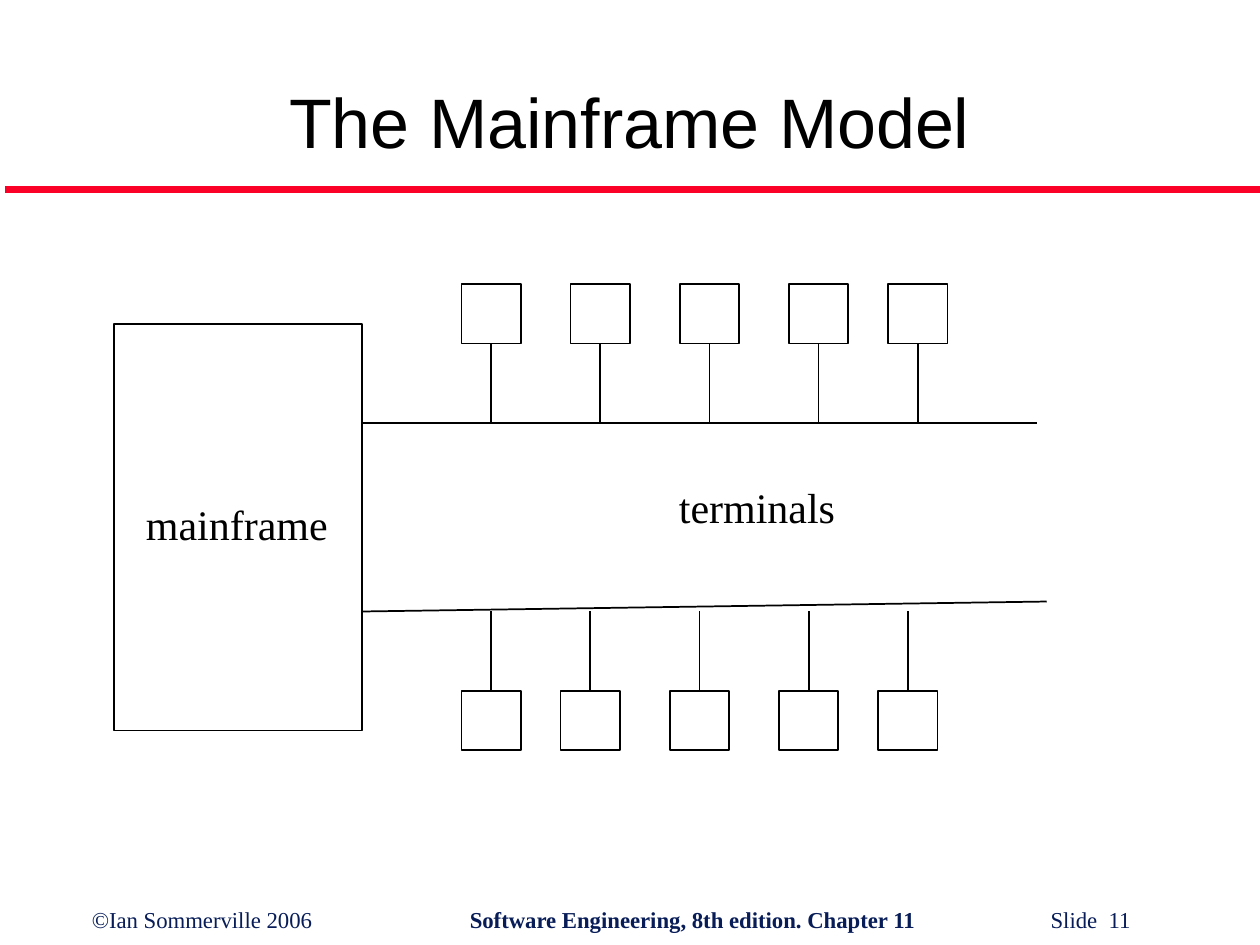
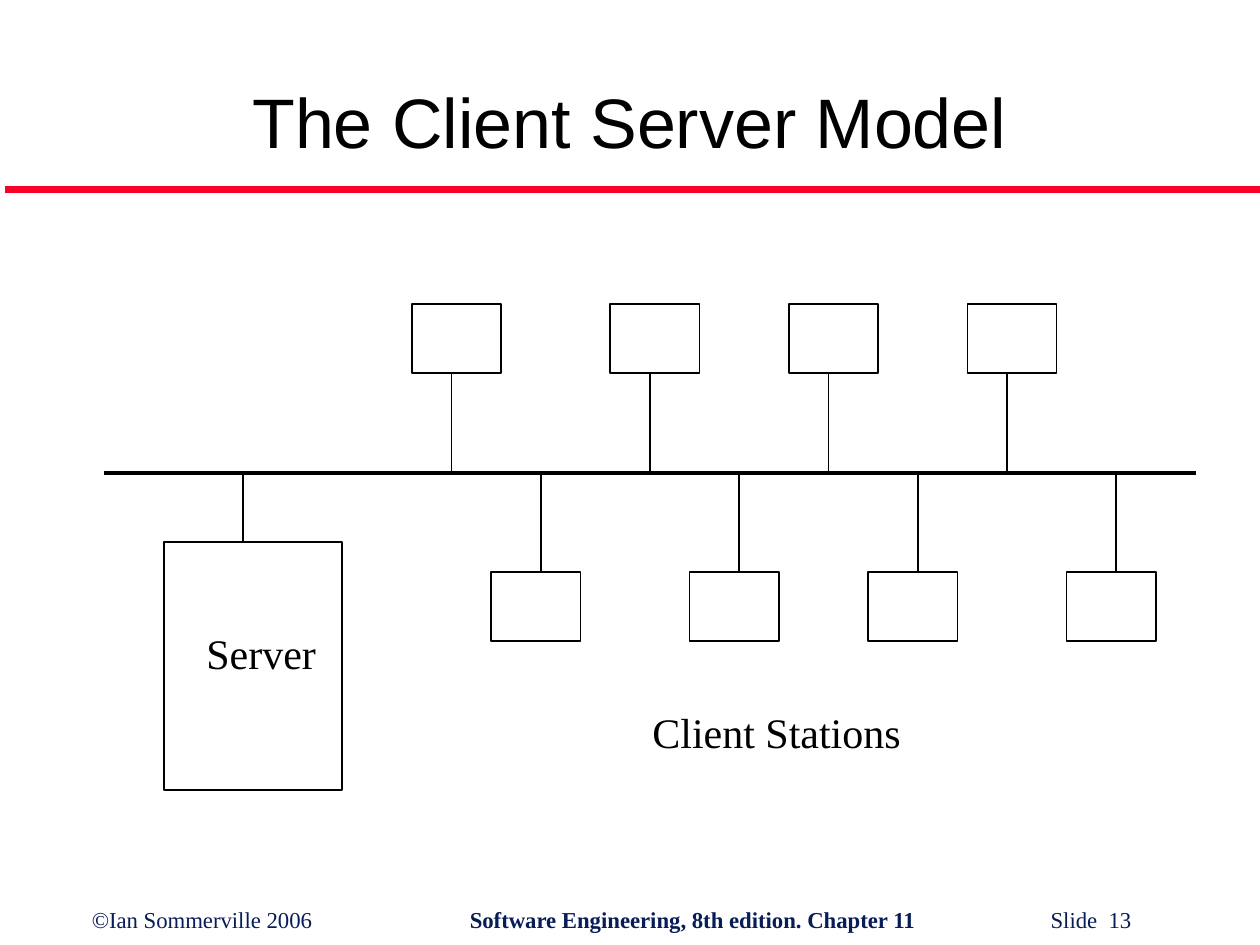
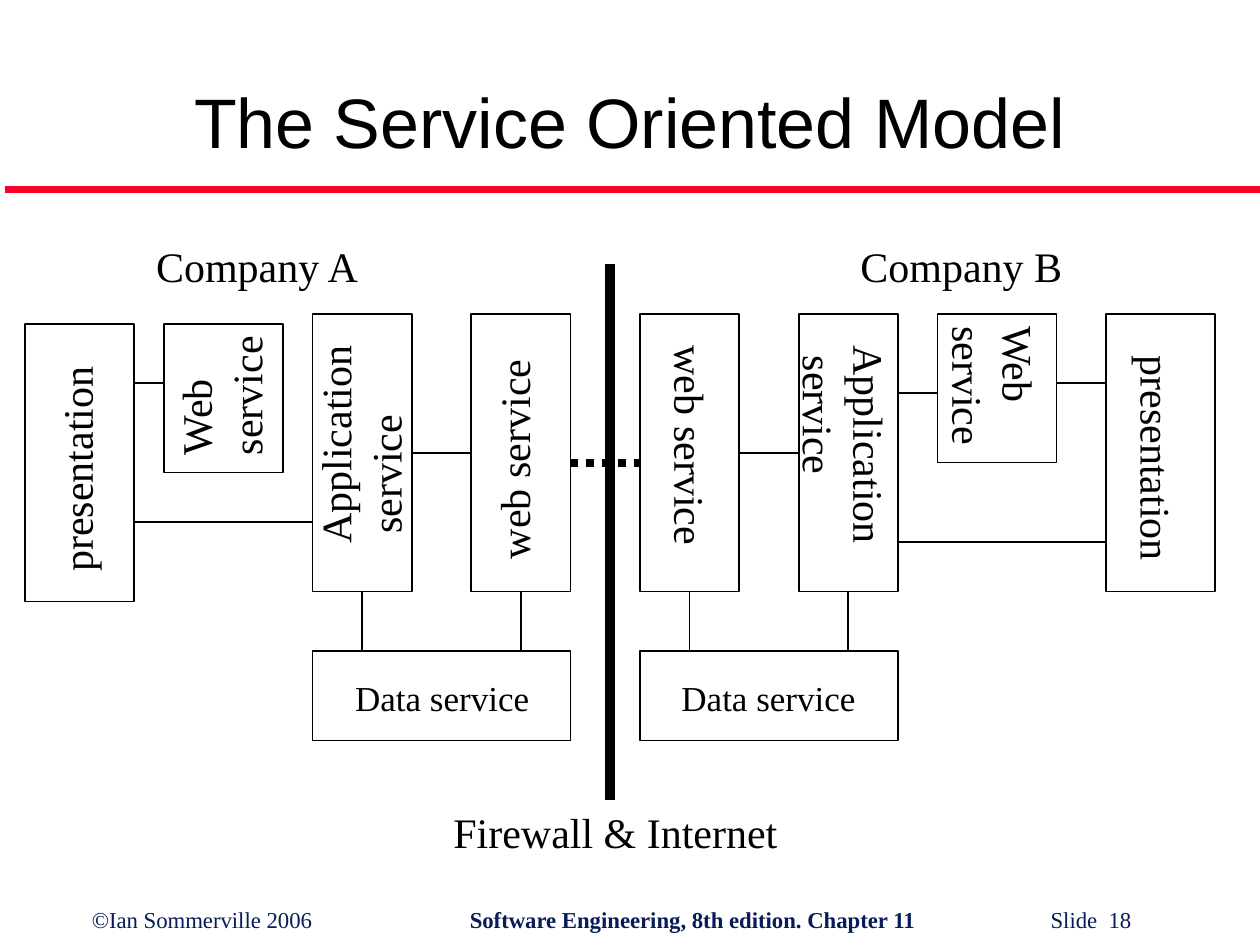
from lxml import etree
from pptx import Presentation
from pptx.dml.color import RGBColor
from pptx.enum.dml import MSO_LINE
from pptx.enum.shapes import MSO_CONNECTOR, MSO_SHAPE
from pptx.enum.text import MSO_ANCHOR, MSO_AUTO_SIZE as FIT, PP_ALIGN
from pptx.oxml.ns import qn
from pptx.util import Inches, Pt

COLORS = {"ink": "000000", "rule": "FC0128", "footer": "081D58"}
SERIF, SANS = "Times New Roman", "Arial"

# Drawing grid: 127 square cells across the slide
CELL, LEFT, TOP = 10 / 127, 0.04, 0.05


def draw_line(page, x1, y1, x2, y2, weight=1, color="ink"):
    """Draw a straight line between two grid points."""
    line = page.shapes.add_connector(
        MSO_CONNECTOR.STRAIGHT,
        Inches(LEFT + x1 * CELL), Inches(TOP + y1 * CELL),
        Inches(LEFT + x2 * CELL), Inches(TOP + y2 * CELL))
    line.line.color.rgb = RGBColor.from_string(COLORS[color])
    line.line.width = Pt(weight)
    etree.SubElement(line._element.spPr, qn("a:effectLst"))
    return line


def draw_label(page, text, x, y, width, height=0.5, turn=0, size=24, indent=0):
    """Write a label, one paragraph per line; indent moves later lines in."""
    box = page.shapes.add_textbox(Inches(x), Inches(y), Inches(width), Inches(height))
    box.rotation = turn
    frame = box.text_frame
    # Turned labels keep their width so that they stay in place
    frame.word_wrap = turn != 0
    frame.auto_size = FIT.SHAPE_TO_FIT_TEXT
    for index, words in enumerate(text.split("\n")):
        para = frame.add_paragraph() if index else frame.paragraphs[0]
        if index and indent:
            para._p.get_or_add_pPr().set("marL", str(Inches(indent)))
        span = para.add_run()
        span.text = words
        span.font.size = Pt(size)
        span.font.name = SERIF
        span.font.color.rgb = RGBColor.from_string(COLORS["ink"])


deck = Presentation()
deck.slide_width, deck.slide_height = Inches(10), Inches(7.5)

# Shared parts: title, red rule and footer
pages = []
for heading, number in (("The Mainframe Model", 11),
                        ("The Client Server Model", 13),
                        ("The Service Oriented Model", 18)):
    page = deck.slides.add_slide(deck.slide_layouts[5])
    pages.append(page)

    title = page.shapes.title
    title.left, title.top = Inches(0.73), Inches(0.34)
    title.width, title.height = Inches(8.53), Inches(1)
    title.text_frame.vertical_anchor = MSO_ANCHOR.BOTTOM
    title.text_frame.auto_size = FIT.NONE
    para = title.text_frame.paragraphs[0]
    para.alignment = PP_ALIGN.CENTER
    span = para.add_run()
    span.text = heading
    span.font.size = Pt(40)
    span.font.name = SANS
    span.font.color.rgb = RGBColor.from_string(COLORS["ink"])

    draw_line(page, 0, 18.5, 126.5, 18.5, 4, "rule")

    footer = page.shapes.add_textbox(Inches(0.63), Inches(7.14), Inches(8.92), Inches(0.32))
    footer.text_frame.word_wrap = True
    para = footer.text_frame.paragraphs[0]
    tabs = etree.SubElement(para._p.get_or_add_pPr(), qn("a:tabLst"))
    for stop in (3, 7.61, 8.07):
        etree.SubElement(tabs, qn("a:tab"), pos=str(Inches(stop)), algn="l")
    for words, bold in (("©Ian Sommerville 2006\t", False),
                        ("Software Engineering, 8th edition. Chapter 11", True),
                        (f"\tSlide\t{number}", False)):
        span = para.add_run()
        span.text = words
        span.font.size = Pt(13)
        span.font.name = SERIF
        span.font.bold = bold
        span.font.color.rgb = RGBColor.from_string(COLORS["footer"])

mainframe, client_server, services = pages

# Mainframe: one host with two trunks of terminals
mainframe_boxes = [(11, 32, 25, 41)]
draw_line(mainframe, 36, 42, 104, 42)
draw_line(mainframe, 36, 61, 105, 60)
for columns, row, stub_top in (((46, 57, 68, 79, 89), 28, 34),
                               ((46, 56, 67, 78, 88), 69, 61)):
    for column in columns:
        mainframe_boxes.append((column, row, 6, 6))
        draw_line(mainframe, column + 3, stub_top, column + 3, stub_top + 8)
draw_label(mainframe, "mainframe", 1.06, 3.91, 1.64)
draw_label(mainframe, "terminals", 5.29, 3.77, 1.44)

# Client server: stations above and below a shared bus
station_boxes = [(16, 54, 18, 25)]
draw_line(client_server, 10, 47, 120, 47, 2.25)
draw_line(client_server, 24, 47, 24, 54)
for columns, row, stub_top, shift in (((41, 61, 79, 97), 30, 37, 4),
                                      ((49, 69, 87, 107), 57, 47, 5)):
    for column in columns:
        station_boxes.append((column, row, 9, 7))
        draw_line(client_server, column + shift, stub_top, column + shift, stub_top + 10)
draw_label(client_server, "Server", 1.54, 4.93, 1.07)
draw_label(client_server, "Client Stations", 5.08, 5.56, 2.17)

# Service oriented: two companies either side of the firewall
service_boxes = [(2, 32, 11, 28), (16, 32, 12, 15), (94, 31, 12, 15), (111, 31, 11, 28)]
for column in (31, 64):
    service_boxes += [(column, 31, 10, 28), (column + 16, 31, 10, 28), (column, 65, 26, 9)]
    draw_line(services, column + 10, 45, column + 16, 45)
    for shift in (5, 21):
        draw_line(services, column + shift, 59, column + shift, 65)
for start, end, row in ((13, 16, 38), (13, 31, 52), (90, 94, 39),
                        (106, 111, 38), (90, 111, 54)):
    draw_line(services, start, row, end, row)
draw_line(services, 61, 26, 61, 80, 6)
draw_line(services, 57, 46, 64, 46, 4.5).line.dash_style = MSO_LINE.ROUND_DOT

for x, company in ((1.14, "Company A"), (6.73, "Company B")):
    draw_label(services, company, x, 1.86, 1.82)
for x in (2.72, 5.31):
    draw_label(services, "Data service", x, 5.32, 1.58, 0.44, size=20)
for x, y, turn in ((-0.36, 3.42, 270), (8.22, 3.44, 90)):
    draw_label(services, "presentation", x, y, 1.93, turn=turn)
for x, y, turn in ((1.13, 2.64, 270), (7.27, 2.66, 90)):
    draw_label(services, "Web\nservice", x, y, 1.24, 0.9, turn)
for x, turn in ((3.13, 270), (4.54, 90)):
    draw_label(services, "web service", x, 3.34, 1.89, turn=turn)
for x, y, turn in ((1.91, 3.02, 270), (5.76, 3.14, 90)):
    draw_label(services, "Application\nservice", x, y, 1.89, 0.9, turn, indent=0.08)
draw_label(services, "Firewall & Internet", 3.5, 6.35, 2.77)

# Outlined boxes of all three diagrams
for page, boxes in zip(pages, (mainframe_boxes, station_boxes, service_boxes)):
    for column, row, columns, rows in boxes:
        box = page.shapes.add_shape(
            MSO_SHAPE.RECTANGLE,
            Inches(LEFT + column * CELL), Inches(TOP + row * CELL),
            Inches(columns * CELL), Inches(rows * CELL))
        box.shadow.inherit = False
        box.fill.background()
        box.line.color.rgb = RGBColor.from_string(COLORS["ink"])
        box.line.width = Pt(1)

deck.save("out.pptx")
